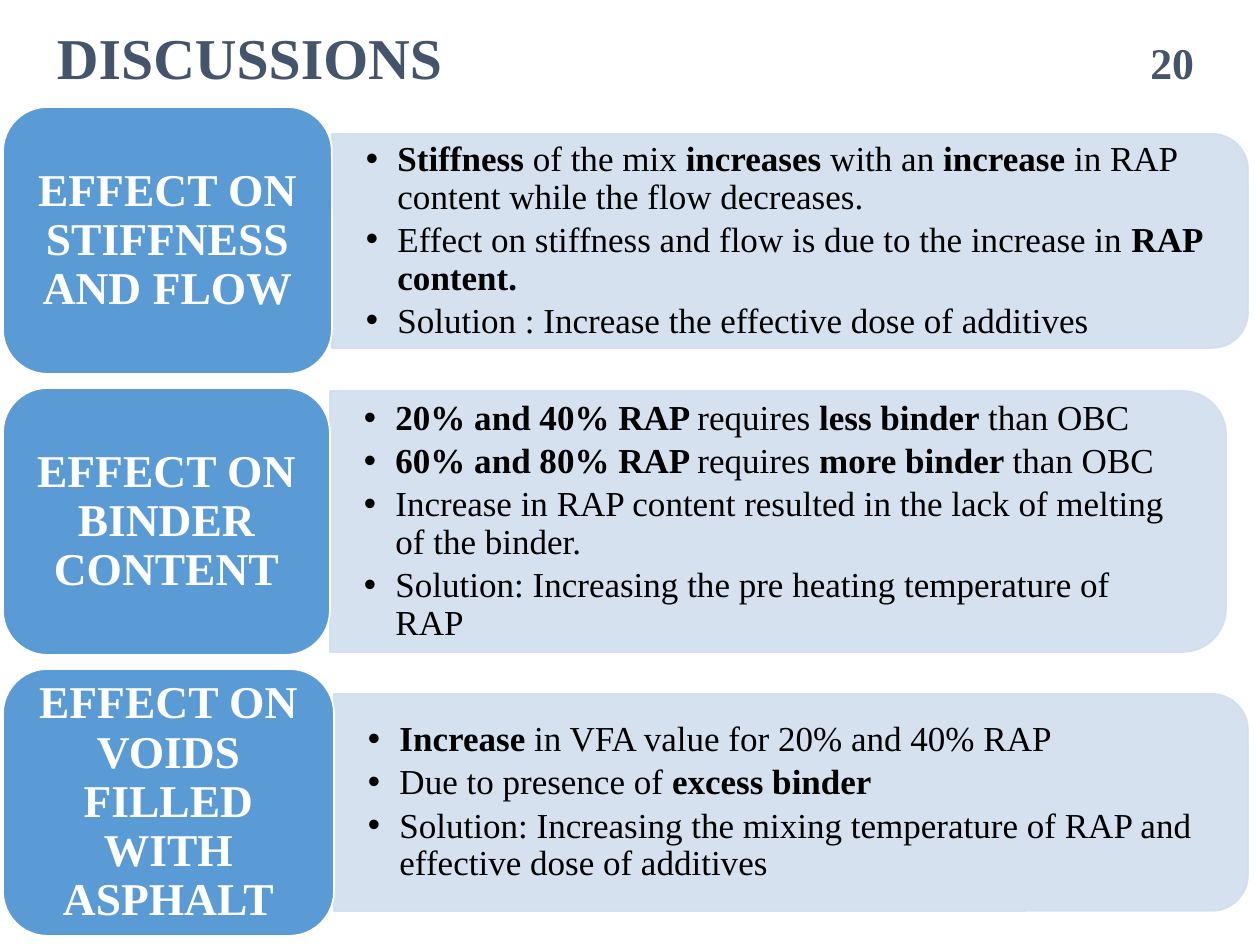
from lxml import etree
from pptx import Presentation, util as u
from pptx.dml.color import RGBColor
from pptx.enum import shapes, text
from pptx.oxml.ns import qn

PX = 914400 / 126
FONT = "Times New Roman"
SLATE = RGBColor(0x44, 0x54, 0x6A)
BLUE = RGBColor(0x5B, 0x9B, 0xD5)
PALE = RGBColor(0xD2, 0xDE, 0xEF)
WHITE = RGBColor(0xFF, 0xFF, 0xFF)
BLACK = RGBColor(0, 0, 0)

TILE_LEFT, TILE_TOP, TILE_HEIGHT, ROW_PITCH = 3, 107, 267, 281
TILE_INSET = 13

# Heading, tile width, panel (top, width, height), bullets; ** switches bold
ROWS = [
    ("EFFECT ON STIFFNESS AND FLOW", 329, (134, 916, 214), [
        "**Stiffness** of the mix **increases** with an **increase** in RAP "
        "content while the flow decreases.",
        "Effect on stiffness and flow is due to the increase in **RAP content.**",
        "Solution : Increase the effective dose of additives",
    ]),
    ("EFFECT ON BINDER CONTENT", 327, (391, 896, 261), [
        "**20% and 40% RAP **requires **less binder **than OBC",
        "**60% and 80% RAP **requires **more binder **than OBC",
        "Increase in RAP content resulted in the lack of melting of the binder.",
        "Solution: Increasing the pre heating temperature of RAP",
    ]),
    ("EFFECT ON VOIDS FILLED WITH ASPHALT", 331, (694, 914, 217), [
        "**Increase** in VFA value for 20% and 40% RAP",
        "Due to presence of **excess binder**",
        "Solution: Increasing the mixing temperature of RAP and effective dose "
        "of additives",
    ]),
]


def emu(px):
    return u.Emu(round(px * PX))


class Deck:
    def __init__(self):
        self.prs = Presentation()
        self.prs.slide_width, self.prs.slide_height = emu(1260), emu(945)
        self.s = self.prs.slides.add_slide(self.prs.slide_layouts[6])

    def shape(self, kind, box, fill, line):
        sp = self.s.shapes.add_shape(kind, *map(emu, box))
        sp.shadow.inherit = False
        sp.fill.solid()
        sp.fill.fore_color.rgb = fill
        sp.line.color.rgb = line
        sp.line.width = u.Pt(1)
        return sp

    def panel(self, left, top, width, height):
        """Draw a bar with its two right corners rounded, by a quarter turn."""
        box = (left + (width - height) / 2, top + (height - width) / 2,
               height, width)
        sp = self.shape(shapes.MSO_SHAPE.ROUND_2_SAME_RECTANGLE, box, PALE, PALE)
        sp.rotation = 90
        for color in sp._element.spPr.iter(qn("a:srgbClr")):
            etree.SubElement(color, qn("a:alpha"), val="90000")

    def tile(self, box):
        self.shape(shapes.MSO_SHAPE.ROUNDED_RECTANGLE, box, BLUE, WHITE)

    def text(self, box, lines, size, color, align=text.PP_ALIGN.LEFT,
             margins=(13, 6), spacing=0.9, bullets=False):
        tf = self.s.shapes.add_textbox(*map(emu, box)).text_frame
        tf.word_wrap = True
        tf.vertical_anchor = text.MSO_ANCHOR.MIDDLE
        tf.margin_left = tf.margin_right = emu(margins[0])
        tf.margin_top = tf.margin_bottom = emu(margins[1])
        for i, line in enumerate(lines):
            p = tf.paragraphs[0] if i == 0 else tf.add_paragraph()
            p.alignment = align
            p.line_spacing = spacing
            if bullets:
                self.bullet(p)
            for j, part in enumerate(line.split("**")):
                if part:
                    r = p.add_run()
                    r.text = part
                    r.font.name, r.font.size = FONT, u.Pt(size)
                    r.font.color.rgb = color
                    r.font.bold = j % 2 == 1

    def bullet(self, p):
        p.level = 1
        p.space_after = u.Pt(3)
        pPr = p._p.get_or_add_pPr()
        indent = u.Inches(0.25)
        pPr.set("marL", str(indent))
        pPr.set("indent", str(-indent))
        etree.SubElement(pPr, qn("a:buFont"), typeface="Arial")
        etree.SubElement(pPr, qn("a:buChar"), char="•")


def main():
    deck = Deck()
    deck.text((44, -30, 874, 181), ["**DISCUSSIONS**"], 33, SLATE)

    for i, (heading, tile_width, panel, bullets) in enumerate(ROWS):
        top, width, height = panel
        left = TILE_LEFT + tile_width
        inset = round(height * 0.05)
        deck.panel(left, top, width, height)
        deck.text((left, top + inset, width - inset, height - 2 * inset),
                  bullets, 20, BLACK, margins=(34, 17), bullets=True)

        tile_top = TILE_TOP + i * ROW_PITCH
        deck.tile((TILE_LEFT, tile_top, tile_width, TILE_HEIGHT))
        deck.text((TILE_LEFT + TILE_INSET, tile_top + TILE_INSET,
                   tile_width - 2 * TILE_INSET, TILE_HEIGHT - 2 * TILE_INSET),
                  [f"**{heading}**"], 26, WHITE, text.PP_ALIGN.CENTER,
                  margins=(14, 6))

    deck.text((1137, 37, 70, 50), ["**20**"], 25, SLATE, text.PP_ALIGN.RIGHT,
              spacing=1.0)
    deck.prs.save("out.pptx")


if __name__ == "__main__":
    main()
